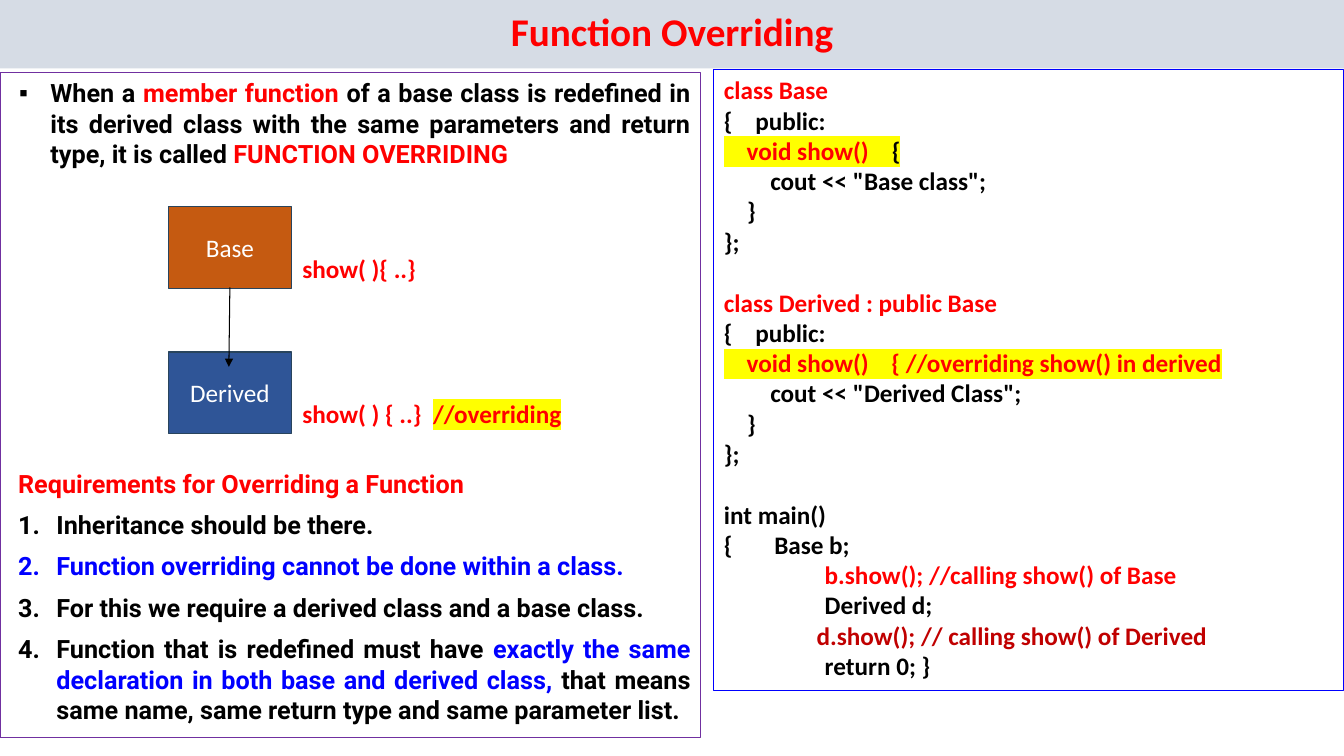
from lxml import etree
from pptx import Presentation
from pptx.dml.color import RGBColor
from pptx.enum.shapes import MSO_CONNECTOR, MSO_SHAPE
from pptx.enum.text import MSO_ANCHOR, MSO_AUTO_SIZE, PP_ALIGN
from pptx.oxml.ns import qn
from pptx.util import Inches, Pt

CENTER, JUSTIFY, LEFT = PP_ALIGN.CENTER, PP_ALIGN.JUSTIFY, PP_ALIGN.LEFT
TOP, MIDDLE = MSO_ANCHOR.TOP, MSO_ANCHOR.MIDDLE
RECTANGLE, STRAIGHT = MSO_SHAPE.RECTANGLE, MSO_CONNECTOR.STRAIGHT
FIXED_SIZE = MSO_AUTO_SIZE.NONE

BLACK = RGBColor(0x00, 0x00, 0x00)
WHITE = RGBColor(0xFF, 0xFF, 0xFF)
RED = RGBColor(0xFF, 0x00, 0x00)
DARK_RED = RGBColor(0xC0, 0x00, 0x00)
BLUE = RGBColor(0x00, 0x00, 0xFF)
PURPLE = RGBColor(0x70, 0x30, 0xA0)
YELLOW = RGBColor(0xFF, 0xFF, 0x00)
TITLE_GREY = RGBColor(0xD6, 0xDC, 0xE5)
BASE_ORANGE = RGBColor(0xC5, 0x5A, 0x11)
DERIVED_BLUE = RGBColor(0x2F, 0x55, 0x97)
BOX_EDGE = RGBColor(0x28, 0x44, 0x5D)

# Content: a run is (text, colour) or (text, colour, highlight)
TITLE = [("Function Overriding", RED)]
DEFINITION = [
    ("When a ", BLACK), ("member function ", RED),
    ("of a base class is redefined in its derived class with the same "
     "parameters and return type, it is called ", BLACK),
    ("FUNCTION OVERRIDING", RED)]
HEADING = [("Requirements for Overriding a Function", RED)]
REQUIREMENTS = [
    [("Inheritance should be there.", BLACK)],
    [("Function overriding cannot be done within a class.", BLUE)],
    [("For this we require a derived class and a base class.", BLACK)],
    [("Function that is redefined must have ", BLACK),
     ("exactly the same declaration in both base and derived class,", BLUE),
     (" that means same name, same return type and same parameter list.", BLACK)]]

# Code blocks: each line is (indent in inches, runs)
STEP = 0.23
CLASS_END = [(STEP, [("}", BLACK)]), (0, [("};", BLACK)])]
CODE_BLOCKS = [
    [(0, [("class Base", RED)]),
     (0, [("{    public:", BLACK)]),
     (0, [("    void show()    ", RED, YELLOW), ("{", BLACK, YELLOW)]),
     (2 * STEP, [('cout << "Base class";', BLACK)])] + CLASS_END,
    [(0, [("class Derived : public Base", RED)]),
     (0, [("{    public:", BLACK)]),
     (0, [("    void show()    { //overriding show() in derived", RED, YELLOW)]),
     (2 * STEP, [('cout << "Derived Class";', BLACK)])] + CLASS_END,
    [(0, [("int main()", BLACK)]),
     (0, [("{\tBase b;", BLACK)]),
     (1, [("b.show(); //calling show() of Base", RED)]),
     (1, [("Derived d;", BLACK)]),
     (4 * STEP, [("d.show(); // calling show() of Derived", DARK_RED)]),
     (1, [("return 0; }", BLACK)])]]

CLASSES = [
    ("Base", BASE_ORANGE, 1.43, [("show( ){ ..}", RED)]),
    ("Derived", DERIVED_BLUE, 2.84,
     [("show( ) { ..}  ", RED), ("//overriding", RED, YELLOW)])]

# Layout, in inches
WIDTH, HEIGHT = 13.33, 7.5
BOX_LEFT, BOX_TOP, BOX_WIDTH, BOX_HEIGHT, BOX_STEP = 1.67, 2.05, 1.22, 0.81, 1.44
DIAGRAM_GAP = Pt(206)
CODE_GAP = Pt(22)


def place(shape, left, top, width, height):
    shape.left, shape.top = Inches(left), Inches(top)
    shape.width, shape.height = Inches(width), Inches(height)


def outline(shape, colour, points):
    shape.line.color.rgb = colour
    shape.line.width = Pt(points)


def prepare(shape, anchor=TOP, wrap=True):
    frame = shape.text_frame
    frame.auto_size = FIXED_SIZE
    frame.vertical_anchor = anchor
    frame.word_wrap = wrap
    return frame


def write(para, runs, font="Calibri", size=18, bold=True, align=LEFT,
          before=0, after=0, indent=0, hanging=0, bullet=None):
    para.alignment = align
    para.line_spacing = 1.0
    para.space_before, para.space_after = before, Pt(after)
    props = para._p.get_or_add_pPr()
    props.set("marL", str(Inches(indent)))
    props.set("indent", str(-Inches(hanging)))
    if bullet == "number":
        etree.SubElement(props, qn("a:buFont"), typeface="+mj-lt")
        etree.SubElement(props, qn("a:buAutoNum"), type="arabicPeriod")
    elif bullet:
        etree.SubElement(props, qn("a:buFont"), typeface="Arial")
        etree.SubElement(props, qn("a:buChar"), char=bullet)
    else:
        etree.SubElement(props, qn("a:buNone"))
    for text, colour, *highlight in runs:
        span = para.add_run()
        span.text = text
        span.font.size, span.font.bold, span.font.name = Pt(size), bold, font
        span.font.color.rgb = colour
        if highlight:
            mark = etree.Element(qn("a:highlight"))
            etree.SubElement(mark, qn("a:srgbClr"), val=str(highlight[0]))
            span.font._element.find(qn("a:solidFill")).addnext(mark)


def next_para(frame):
    first = frame.paragraphs[0]
    return frame.add_paragraph() if first.runs else first


deck = Presentation()
deck.slide_width, deck.slide_height = Inches(WIDTH), Inches(HEIGHT)
page = deck.slides.add_slide(deck.slide_layouts[3])
title, notes_panel, code_panel = page.placeholders

# Title bar
place(title, 0, 0, WIDTH, 0.68)
title.fill.solid()
title.fill.fore_color.rgb = TITLE_GREY
title_para = prepare(title, MIDDLE).paragraphs[0]
write(title_para, TITLE, size=28, align=CENTER, after=8)
title_para.line_spacing = 0.9

# Definition and requirements
place(notes_panel, 0, 0.72, 6.95, 6.6)
outline(notes_panel, PURPLE, 0.75)
frame = prepare(notes_panel)
body = dict(font="Roboto", align=JUSTIFY, after=8)
write(next_para(frame), DEFINITION, indent=0.4, hanging=0.31, bullet="▪", **body)
write(next_para(frame), HEADING, indent=0.08, before=DIAGRAM_GAP, **body)
for requirement in REQUIREMENTS:
    write(next_para(frame), requirement, indent=0.46, hanging=0.38,
          bullet="number", **body)

# Code listing
place(code_panel, 7.08, 0.69, 6.25, 6.16)
outline(code_panel, BLUE, 0.75)
frame = prepare(code_panel)
for block_index, block in enumerate(CODE_BLOCKS):
    for line_index, (indent, runs) in enumerate(block):
        gap = CODE_GAP if block_index and not line_index else 0
        write(next_para(frame), runs, indent=indent, before=gap)

# Class diagram
for row, (name, colour, label_width, label) in enumerate(CLASSES):
    top = BOX_TOP + row * BOX_STEP
    box = page.shapes.add_shape(RECTANGLE, 0, 0, 0, 0)
    place(box, BOX_LEFT, top, BOX_WIDTH, BOX_HEIGHT)
    box.shadow.inherit = False
    box.fill.solid()
    box.fill.fore_color.rgb = colour
    outline(box, BOX_EDGE, 1)
    write(prepare(box, MIDDLE).paragraphs[0], [(name, WHITE)],
          bold=False, align=CENTER)
    caption = page.shapes.add_textbox(0, 0, 0, 0)
    place(caption, BOX_LEFT + BOX_WIDTH + 0.01, top + 0.41, label_width, 0.4)
    write(prepare(caption, wrap=False).paragraphs[0], label)

# Arrow from Base to Derived
arrow = page.shapes.add_connector(
    STRAIGHT, Inches(2.28), Inches(2.85), Inches(2.27), Inches(3.64))
outline(arrow, BLACK, 0.75)
etree.SubElement(arrow.line._get_or_add_ln(), qn("a:tailEnd"), type="triangle")
etree.SubElement(arrow._element.spPr, qn("a:effectLst"))

deck.save("out.pptx")
